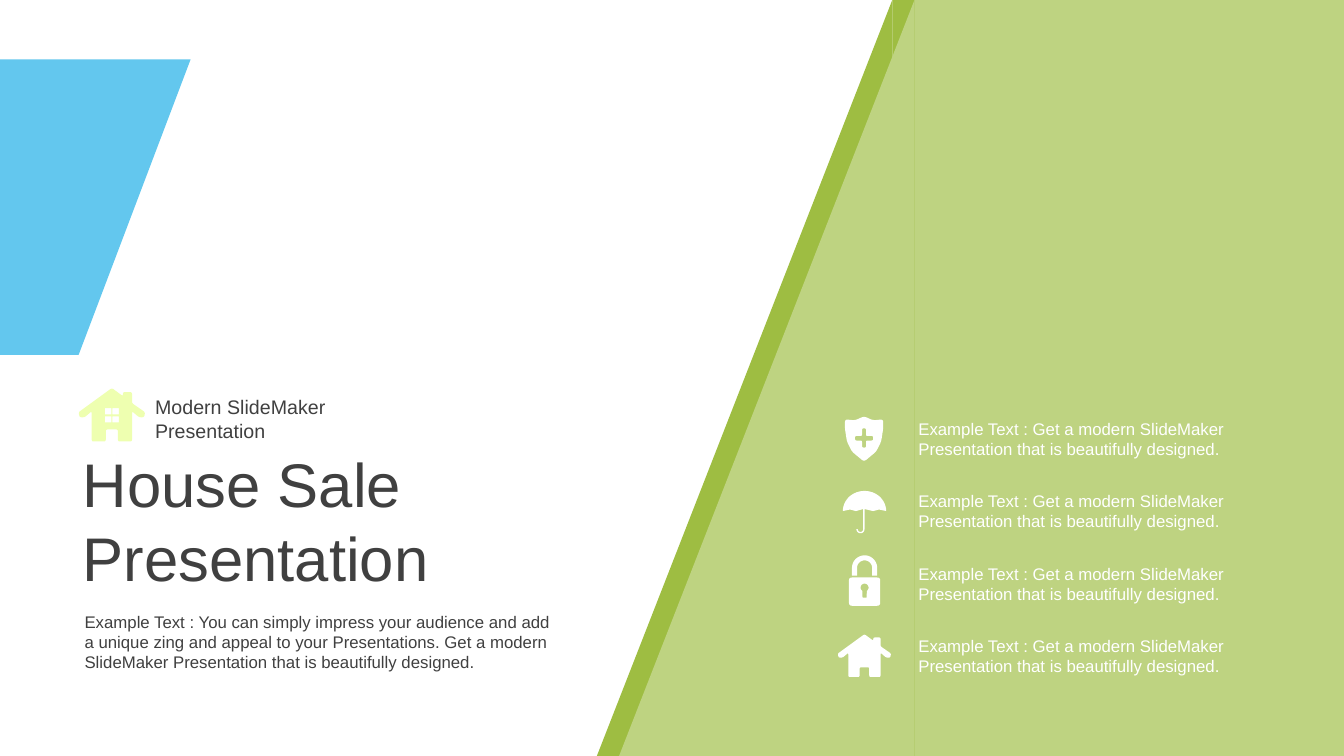
from itertools import product
from math import cos, radians, sin
from typing import NamedTuple

from pptx import Presentation
from pptx.dml.color import RGBColor
from pptx.enum.shapes import MSO_SHAPE as Form
from pptx.enum.text import MSO_ANCHOR as Anchor, MSO_AUTO_SIZE as Fit, PP_ALIGN as Align
from pptx.shapes.autoshape import Shape
from pptx.slide import Slide
from pptx.util import Inches, Pt

WHITE = RGBColor(0xFF, 0xFF, 0xFF)
GREEN = RGBColor(0x9E, 0xBD, 0x42)
PALE = RGBColor(0xBE, 0xD3, 0x81)
LIME = RGBColor(0xEE, 0xFF, 0xB0)
BLUE = RGBColor(0x63, 0xC7, 0xEE)
DARK = RGBColor(0x40, 0x40, 0x40)

CELL = Inches(0.1)
COLS, ROWS = 133.33, 75
SLANT = 29.3

Point = tuple[float, float]
Loop = list[Point]


class Box(NamedTuple):
    col: float
    row: float
    wide: float
    high: float

    def place(self) -> list[int]:
        return [round(part * CELL) for part in self]


class Note(NamedTuple):
    box: Box
    text: str
    size: int
    color: RGBColor


class Icon(NamedTuple):
    col: float
    row: float
    loops: list[Loop]
    color: RGBColor = WHITE
    scale: float = 0.1


def arc(x: float, y: float, wide: float, high: float, start: int, end: int) -> Loop:
    turns = [radians(start + (end - start) * step / 24) for step in range(25)]
    return [(x + wide * cos(turn), y + high * sin(turn)) for turn in turns]


def rect(left: float, top: float, right: float, base: float) -> Loop:
    return [(left, top), (right, top), (right, base), (left, base)]


def soften(loop: Loop, cut: float) -> Loop:
    curve: Loop = []
    for spot, (x, y) in enumerate(loop):
        ends = []
        for u, v in (loop[spot - 1], loop[(spot + 1) % len(loop)]):
            span = ((u - x) ** 2 + (v - y) ** 2) ** 0.5
            share = min(cut / span, 0.5)
            ends.append((x + (u - x) * share, y + (v - y) * share))
        (a, b), (c, d) = ends
        for t in (0, 0.25, 0.5, 0.75, 1):
            p, q, r = (1 - t) ** 2, 2 * t * (1 - t), t ** 2
            curve.append((p * a + q * x + r * c, p * b + q * y + r * d))
    return curve


def paint(shape: Shape, color: RGBColor) -> None:
    shape.shadow.inherit = False
    shape.fill.solid()
    shape.fill.fore_color.rgb = color
    shape.line.fill.background()


def draw(slide: Slide, icon: Icon) -> None:
    loops = [[(round((icon.col + x * icon.scale) * CELL), round((icon.row + y * icon.scale) * CELL))
              for x, y in loop] for loop in icon.loops]
    pen = slide.shapes.build_freeform(*loops[0][0], scale=1.0)
    for spot, loop in enumerate(loops):
        if spot:
            pen.move_to(*loop[0])
        pen.add_line_segments(loop[1:], close=True)
    paint(pen.convert_to_shape(), icon.color)


def panel(slide: Slide, col: float, color: RGBColor) -> None:
    side = slide.shapes.add_shape(Form.RECTANGLE, *Box(col, 0, COLS - col, ROWS).place())
    paint(side, color)
    mid = Box(col - (SLANT + ROWS) / 2, (ROWS - SLANT) / 2, ROWS, SLANT)
    wedge = slide.shapes.add_shape(Form.RIGHT_TRIANGLE, *mid.place())
    wedge.rotation = 270
    paint(wedge, color)


def fill(shape: Shape, lines: list[str], size: int, color: RGBColor) -> None:
    frame = shape.text_frame
    frame.word_wrap = True
    frame.auto_size = Fit.SHAPE_TO_FIT_TEXT
    for spot, line in enumerate(lines):
        para = frame.add_paragraph() if spot else frame.paragraphs[0]
        para.alignment = Align.LEFT
        run = para.add_run()
        run.text = line
        run.font.name = "Arial"
        run.font.size = Pt(size)
        run.font.color.rgb = color


def write(slide: Slide, note: Note) -> None:
    shape = slide.shapes.add_textbox(*note.box.place())
    fill(shape, [note.text], note.size, note.color)
    shape.text_frame.vertical_anchor = Anchor.MIDDLE


def head(slide: Slide) -> None:
    title = slide.shapes.title
    title.left, title.top, title.width, title.height = Box(7.4, 4.42 * 10, 37.4, 14.8).place()
    fill(title, ["House Sale", "Presentation"], 44, DARK)
    frame = title.text_frame
    frame.vertical_anchor = Anchor.TOP
    frame.margin_left, frame.margin_right = Inches(0.08), Inches(0.04)
    frame.margin_top = frame.margin_bottom = 0
    for para in frame.paragraphs:
        para.line_spacing = Pt(53)


HOUSE = soften([(33, -1), (44, 7), (44, 3), (53, 3), (53, 14), (66, 23), (65, 28), (60, 28),
                (53, 22), (53, 52), (39, 52), (39, 40), (27, 40), (27, 52), (13, 52), (13, 22),
                (6, 28), (1, 28), (0, 23)], 2)
PANES = [rect(x, y, x + 6.5, y + 6) for x, y in product((26, 33.5), (19, 27))]
SHIELD = soften([(19, 0), (28, 4), (38, 3), (38, 12), (36, 25), (31, 35), (19, 45),
                 (7, 35), (2, 25), (0, 12), (0, 3), (10, 4)], 3)
CROSS = soften([(17, 12), (21, 12), (21, 19.5), (28, 19.5), (28, 24), (21, 24),
                (21, 31), (17, 31), (17, 24), (10, 24), (10, 19.5), (17, 19.5)], 1.5)
SHADE = (arc(21.5, 20, 21.5, 20, 180, 360) + [(36, 18.5), (30, 20), (21.5, 18)]
         + arc(17.5, 38, 4, 4, 0, 180) + arc(17.5, 38, 2.7, 2.7, 180, 0)
         + [(20.2, 18), (13, 20), (7, 18.5)])
BODY = soften(rect(0, 22, 31, 50), 3)
HASP = (arc(15.5, 12.5, 12.5, 12.5, 180, 360) + [(28, 20), (23, 20)]
        + arc(15.5, 12.5, 7.5, 7.5, 360, 180) + [(8, 20), (3, 20)])
KEY = arc(15.5, 32, 4, 4, 125, 415) + [(17.5, 42), (13.5, 42)]

ICONS = [
    Icon(0, 5.9, [[(0, 0), (18.9, 0), (7.8, SLANT), (0, SLANT)]], BLUE, 1),
    Icon(7.8, 38.6, [HOUSE, *PANES], LIME),
    Icon(83.8, 41.3, [SHIELD, CROSS]),
    Icon(83.6, 48.7, [SHADE]),
    Icon(84.2, 55.1, [BODY, HASP, KEY]),
    Icon(83.1, 63, [HOUSE], WHITE, 0.08),
]

POINT = "Example Text : Get a modern SlideMaker Presentation that is beautifully designed."
INTRO = ("Example Text : You can simply impress your audience and add a unique zing and appeal "
         "to your Presentations. Get a modern SlideMaker Presentation that is beautifully designed.")
NOTES = [Note(Box(90.1, 41 + 7.2 * row, 32.9, 5), POINT, 12, WHITE) for row in range(4)] + [
    Note(Box(14.4, 38.7, 20.5, 5.7), "Modern SlideMaker Presentation", 14, DARK),
    Note(Box(7.4, 60.1, 48.5, 7.1), INTRO, 12, DARK),
]


def main() -> None:
    deck = Presentation()
    deck.slide_width, deck.slide_height = Inches(13.33), Inches(7.5)
    slide = deck.slides.add_slide(deck.slide_layouts[5])
    for col, color in ((88.5, GREEN), (90.7, PALE)):
        panel(slide, col, color)
    head(slide)
    for icon in ICONS:
        draw(slide, icon)
    for note in NOTES:
        write(slide, note)
    deck.save("out.pptx")


if __name__ == "__main__":
    main()
